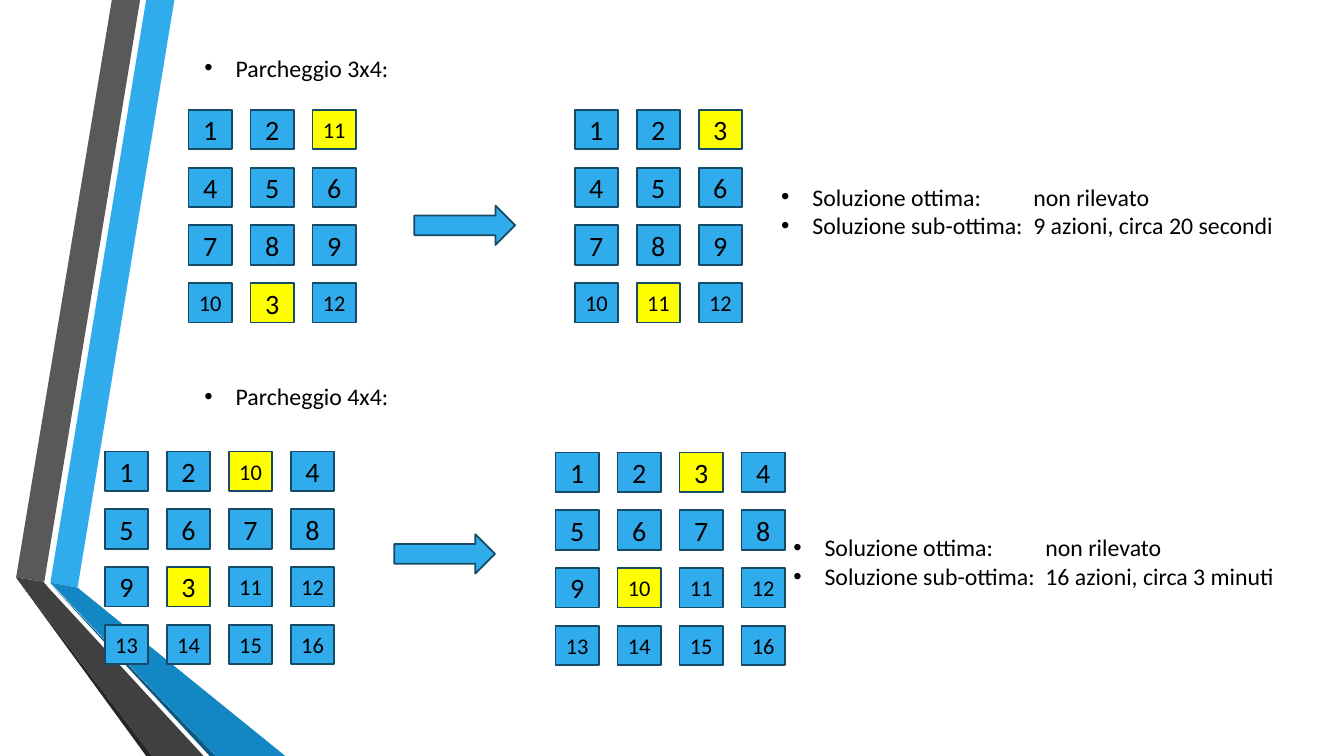
from dataclasses import dataclass

from lxml.etree import SubElement
from pptx import Presentation
from pptx.dml.color import RGBColor
from pptx.enum.shapes import MSO_SHAPE as Preset
from pptx.enum.text import MSO_ANCHOR as Anchor, MSO_AUTO_SIZE as AutoSize, PP_ALIGN as Align
from pptx.oxml.ns import qn
from pptx.util import Inches, Pt


@dataclass(frozen=True)
class Theme:
    """Colours, font and type sizes of the slide."""
    blue: str = "30ACEC"
    yellow: str = "FFFF00"
    outline: str = "154B67"
    ink: str = "000000"
    gray: str = "595959"
    dark_gray: str = "404040"
    gray_edge: str = "262626"
    deep_blue: str = "1287C3"
    blue_edge: str = "0C5A82"
    font: str = "Calibri"
    body: int = 17
    digit: int = 20
    two_digits: int = 16
    line: float = 1.25


THEME = Theme()
SPOT_WIDTH, SPOT_HEIGHT = 0.43, 0.39
COLUMN_STEP, ROW_STEP = 0.615, 0.573

RIBBONS = [
    (THEME.blue, [(0.5, 5.78), (0.77, 5.83), (1.73, 0), (1.45, 0)]),
    (THEME.gray, [(1.39, 0), (1.11, 0), (0.16, 5.73), (0.44, 5.77)]),
    (THEME.gray_edge, [(0.16, 5.73), (1.45, 7.5), (1.51, 7.5)]),
    (THEME.blue_edge, [(0.5, 5.79), (2.08, 7.5), (2.14, 7.5)]),
    (THEME.deep_blue, [(0.5, 5.78), (2.14, 7.5), (2.83, 7.5), (0.77, 5.83)]),
    (THEME.dark_gray, [(2.02, 7.5), (0.48, 5.83), (0.43, 5.77), (0.16, 5.73), (1.51, 7.5)]),
]


def paint(shape, fill, outlined=True):
    """Fill a shape and give it the common outline or none."""
    shape.shadow.inherit = False
    shape.fill.solid()
    shape.fill.fore_color.rgb = RGBColor.from_string(fill)
    if outlined:
        shape.line.color.rgb = RGBColor.from_string(THEME.outline)
        shape.line.width = Pt(THEME.line)
    else:
        shape.line.fill.background()


def write(paragraph, text, size):
    """Add one run in the slide's font and ink."""
    run = paragraph.add_run()
    run.text = text
    run.font.name = THEME.font
    run.font.size = Pt(size)
    run.font.color.rgb = RGBColor.from_string(THEME.ink)


def add_ribbon(slide, color, corners):
    """Draw one closed facet of the folded ribbons."""
    points = [(Inches(x), Inches(y)) for x, y in corners]
    outline = slide.shapes.build_freeform(*points[0])
    outline.add_line_segments(points[1:], close=True)
    paint(outline.convert_to_shape(), color, outlined=False)


def add_bullets(slide, left, top, width, height, lines):
    """Add a text box with one bullet per line."""
    box = slide.shapes.add_textbox(Inches(left), Inches(top), Inches(width), Inches(height))
    frame = box.text_frame
    frame.word_wrap = True
    frame.auto_size = AutoSize.SHAPE_TO_FIT_TEXT
    for index, line in enumerate(lines):
        paragraph = frame.add_paragraph() if index else frame.paragraphs[0]
        properties = paragraph._p.get_or_add_pPr()
        properties.set("marL", str(Inches(0.31)))
        properties.set("indent", str(Inches(-0.31)))
        SubElement(properties, qn("a:buFont")).set("typeface", "Arial")
        SubElement(properties, qn("a:buChar")).set("char", "•")
        write(paragraph, line, THEME.body)


def add_spot(slide, left, top, number, swapped):
    """Add one numbered parking spot, yellow when its car is swapped."""
    spot = slide.shapes.add_shape(Preset.RECTANGLE, Inches(left), Inches(top),
                                  Inches(SPOT_WIDTH), Inches(SPOT_HEIGHT))
    paint(spot, THEME.yellow if swapped else THEME.blue)
    frame = spot.text_frame
    frame.margin_left = frame.margin_right = 0
    frame.vertical_anchor = Anchor.MIDDLE
    label = frame.paragraphs[0]
    label.alignment = Align.CENTER
    write(label, str(number), THEME.digit if number < 10 else THEME.two_digits)


def add_parking(slide, left, top, columns, swaps):
    """Lay out four rows of spots, with some numbers replaced by swaps."""
    for index in range(4 * columns):
        row, column = divmod(index, columns)
        number = index + 1
        add_spot(slide, left + column * COLUMN_STEP, top + row * ROW_STEP,
                 swaps.get(number, number), number in swaps)


def add_arrow(slide, left, top):
    """Add the block arrow from start to goal."""
    arrow = slide.shapes.add_shape(Preset.RIGHT_ARROW, Inches(left), Inches(top),
                                   Inches(1), Inches(SPOT_HEIGHT))
    paint(arrow, THEME.blue)


def main():
    """Build the slide and save it."""
    deck = Presentation()
    deck.slide_width, deck.slide_height = Inches(13.33), Inches(7.5)
    slide = deck.slides.add_slide(deck.slide_layouts[6])
    for color, corners in RIBBONS:
        add_ribbon(slide, color, corners)

    add_bullets(slide, 1.93, 0.48, 9.54, 0.39, ["Parcheggio 3x4:"])
    add_parking(slide, 1.87, 1.09, 3, {3: 11, 11: 3})
    add_arrow(slide, 4.11, 2.04)
    add_parking(slide, 5.7, 1.09, 3, {3: 3, 11: 11})
    add_bullets(slide, 7.65, 1.76, 6.33, 0.67, [
        "Soluzione ottima: \tnon rilevato",
        "Soluzione sub-ottima:\t9 azioni, circa 20 secondi"])

    add_bullets(slide, 1.93, 3.74, 9.54, 0.39, ["Parcheggio 4x4:"])
    add_parking(slide, 1.04, 4.48, 4, {3: 10, 10: 3})
    add_arrow(slide, 3.91, 5.3)
    add_parking(slide, 5.51, 4.49, 4, {3: 3, 10: 10})
    add_bullets(slide, 7.77, 5.24, 6.33, 0.67, [
        "Soluzione ottima: \tnon rilevato",
        "Soluzione sub-ottima:\t16 azioni, circa 3 minuti"])
    deck.save("out.pptx")


if __name__ == "__main__":
    main()
